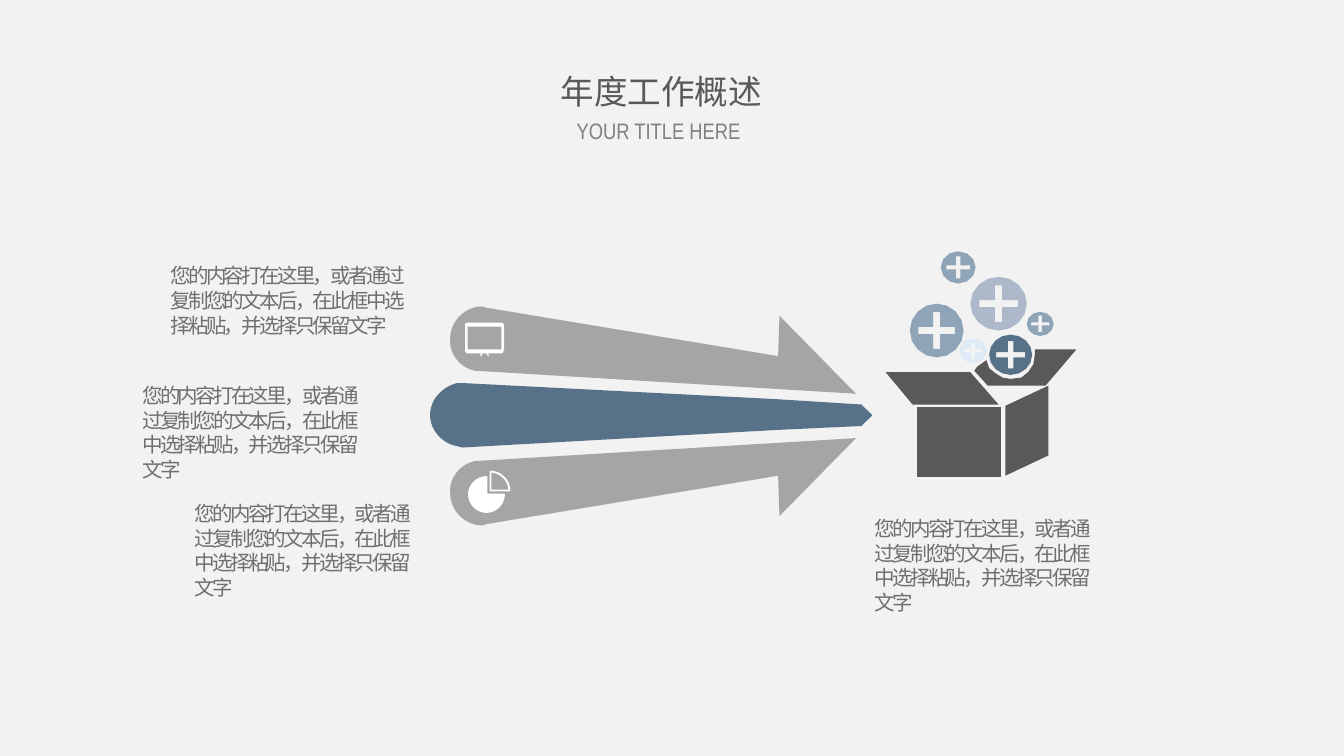
import math
import pptx
import pptx.dml.color
import pptx.enum.text
import pptx.oxml.ns
import pptx.util
from lxml import etree
from pptx.util import Inches, Pt

THEME = {
    "back": "F2F2F2", "gray": "A5A5A5", "blue": "577188", "dark": "595959",
    "mist": "8FA4B7", "lilac": "ADB9CA", "pale": "DEEBF7", "white": "FFFFFF",
    "title": {"font": {"name": "Noto Sans CJK SC", "size": Pt(18)}, "ink": "595959"},
    "sub": {"font": {"name": "Arial Narrow", "size": Pt(12)}, "ink": "808080"},
    "note": {"font": {"name": "Arial", "size": Pt(11)}, "ink": "6D6F71", "gap": -150},
    "east": "Noto Sans CJK SC",
}
FRAME = {
    "word_wrap": True,
    "auto_size": pptx.enum.text.MSO_AUTO_SIZE.NONE,
    "vertical_anchor": pptx.enum.text.MSO_ANCHOR.TOP,
    "margin_left": Inches(0.1), "margin_right": Inches(0.1),
    "margin_top": Inches(0.05), "margin_bottom": Inches(0.05),
}
WIDE = Inches(10)
NOTE = "您的内容打在这里，或者通过复制您的文本后，在此框中选择粘贴，并选择只保留文字"
NOTES = [(1.35, 3.68, 1.85, 0.84), (0.96, 2.8, 1.85, 0.84),
         (1.17, 1.91, 2.05, 0.66), (6.41, 3.79, 1.91, 0.84)]
AXIS = 6.19  # twice the height of the line between the gray arrows

# Outlines: a pair is a corner, six numbers are a curve
BAR = [(3.44, 2.85), (5.77, 2.97), (6.41, 3.01), (6.49, 3.09), (6.41, 3.17),
       (5.77, 3.2), (3.44, 3.33), (3.4, 3.32), (3.29, 3.3, 3.2, 3.2, 3.2, 3.09),
       (3.2, 2.97, 3.29, 2.88, 3.4, 2.85)]
ARROW = [(3.59, 2.28), (3.62, 2.29), (5.79, 2.65), (5.8, 2.35), (6.37, 2.93),
         (3.56, 2.76), (3.54, 2.76), (3.43, 2.74, 3.34, 2.64, 3.35, 2.52),
         (3.35, 2.39, 3.46, 2.28, 3.59, 2.28)]
SCREEN = [
    [(3.73, 2.4), (3.48, 2.4), (3.47, 2.4, 3.46, 2.41, 3.46, 2.42), (3.46, 2.6),
     (3.46, 2.62, 3.47, 2.63, 3.48, 2.63), (3.58, 2.63), (3.57, 2.65), (3.58, 2.65),
     (3.59, 2.63), (3.62, 2.63), (3.63, 2.65), (3.64, 2.65), (3.63, 2.63),
     (3.73, 2.63), (3.74, 2.63, 3.75, 2.61, 3.75, 2.6), (3.75, 2.42),
     (3.75, 2.41, 3.74, 2.4, 3.73, 2.4)],
    [(3.48, 2.43), (3.73, 2.43), (3.73, 2.6), (3.48, 2.6)],
]
PIE = [(3.75, 3.68), (3.75, 3.75, 3.69, 3.81, 3.62, 3.81),
       (3.55, 3.81, 3.49, 3.75, 3.49, 3.68), (3.49, 3.61, 3.55, 3.55, 3.62, 3.55),
       (3.62, 3.68)]
SLICE = [(3.79, 3.65), (3.79, 3.57, 3.72, 3.51, 3.65, 3.51), (3.65, 3.65)]
BOX = [
    [(7.8, 2.87), (7.8, 3.39), (7.48, 3.54), (7.48, 3.02)],
    [(6.59, 2.77), (7.22, 2.77), (7.43, 3.01), (6.79, 3.01)],
    [(6.82, 3.03), (7.45, 3.03), (7.45, 3.55), (6.82, 3.55)],
    [(7.7, 2.6), (8.01, 2.6), (7.78, 2.87), (7.35, 2.87), (7.25, 2.76), (7.27, 2.73),
     (7.34, 2.68), (7.36, 2.74), (7.41, 2.78), (7.46, 2.81), (7.52, 2.82),
     (7.6, 2.81), (7.65, 2.77), (7.69, 2.71), (7.7, 2.64)],
]
# Orbs: middle x and y, half width, half height, number of sides, colour
ORBS = [(6.97, 2.46, 0.2, 0.2, 16, "mist"), (7.43, 2.26, 0.21, 0.2, 16, "lilac"),
        (7.13, 1.99, 0.13, 0.12, 12, "mist"), (7.52, 2.64, 0.16, 0.15, 16, "blue"),
        (7.24, 2.61, 0.1, 0.09, 24, "pale"), (7.74, 2.41, 0.1, 0.09, 12, "mist")]


def tint(name):
    return pptx.dml.color.RGBColor.from_string(THEME.get(name, name))


def apply(thing, fmt):
    for key, value in fmt.items():
        setattr(thing, key, value)


def trace(nodes, steps=12):
    """Turn corners and curves into points."""
    dots = []
    for node in nodes:
        if len(node) == 2:
            dots.append(node)
            continue
        ends = [dots[-1], node[:2], node[2:4], node[4:]]
        for step in range(1, steps + 1):
            t = step / steps
            parts = [math.comb(3, i) * t**i * (1 - t)**(3 - i) for i in range(4)]
            dots.append(tuple(sum(w * p[a] for w, p in zip(parts, ends)) for a in (0, 1)))
    return dots


def draw(group, rings, fill=None, line=None):
    """Add one outline made of one or more rings."""
    rings = [[(Inches(x), Inches(y)) for x, y in trace(ring)] for ring in rings]
    pen = group.shapes.build_freeform(*rings[0][0], scale=1.0)
    for i, ring in enumerate(rings):
        if i:
            pen.move_to(*ring[0])
        pen.add_line_segments(ring[1:], close=True)
    shape = pen.convert_to_shape()
    shape.shadow.inherit = False
    for ink, paint in ((fill, shape.fill), (line, shape.line.fill)):
        if ink:
            paint.solid()
            paint.fore_color.rgb = tint(ink)
        else:
            paint.background()
    if line:
        shape.line.width = Pt(1)


def orb(group, x, y, wide, high, sides, fill):
    """Add a many-sided disc with a plus cut out of it."""
    turns = [2 * math.pi * i / sides for i in range(sides)]
    disc = [(x + wide * math.sin(a), y - high * math.cos(a)) for a in turns]
    arm, half = 0.68, 0.13
    plus = [(-half, -arm), (-half, -half), (-arm, -half), (-arm, half), (-half, half),
            (-half, arm), (half, arm), (half, half), (arm, half), (arm, -half),
            (half, -half), (half, -arm)]
    draw(group, [disc, [(x + wide * u, y + high * v) for u, v in plus]], fill)


def write(shape, at, text, style, align):
    """Place a text shape and fill it with one styled paragraph."""
    apply(shape, dict(zip(("left", "top", "width", "height"), map(Inches, at))))
    apply(shape.text_frame, FRAME)
    para = shape.text_frame.paragraphs[0]
    apply(para, {"alignment": align, "space_before": Pt(0), "line_spacing": 1.0})
    run = para.add_run()
    run.text = text
    apply(run.font, style["font"])
    run.font.color.rgb = tint(style["ink"])
    props = run._r.get_or_add_rPr()
    east = etree.SubElement(props, pptx.oxml.ns.qn("a:ea"))
    east.set("typeface", THEME["east"])
    if "gap" in style:
        props.set("spc", str(style["gap"]))


def main():
    # Slide of 16 by 9
    deck = pptx.Presentation()
    apply(deck, {"slide_width": WIDE, "slide_height": WIDE * 9 // 16})
    slide = deck.slides.add_slide(deck.slide_layouts[0])
    slide.background.fill.solid()
    slide.background.fill.fore_color.rgb = tint("back")
    group = slide.shapes.add_group_shape

    # Arrows and their icons
    draw(group(), [BAR], "blue")
    low = group()
    draw(low, [[tuple(AXIS - v if i % 2 else v for i, v in enumerate(node))
                for node in ARROW]], "gray")
    draw(low, [PIE], "white", "white")
    draw(low, [SLICE], line="white")
    top = group()
    draw(top, [ARROW], "gray")
    draw(top, SCREEN, "white")

    # Open box with orbs
    box = group()
    for side in BOX:
        draw(box, [side], "dark")
    for item in ORBS:
        orb(box, *item)

    # Notes and headings
    align = pptx.enum.text.PP_ALIGN
    for at in NOTES:
        note = slide.shapes.add_textbox(0, 0, 0, 0)
        write(note, at, NOTE, THEME["note"], align.LEFT)
    write(slide.shapes.title, (3.8, 0.48, 2.24, 0.4), "年度工作概述",
          THEME["title"], align.CENTER)
    write(slide.placeholders[1], (4.18, 0.82, 1.44, 0.3), "YOUR TITLE HERE",
          THEME["sub"], align.CENTER)
    deck.save("out.pptx")


if __name__ == "__main__":
    main()
